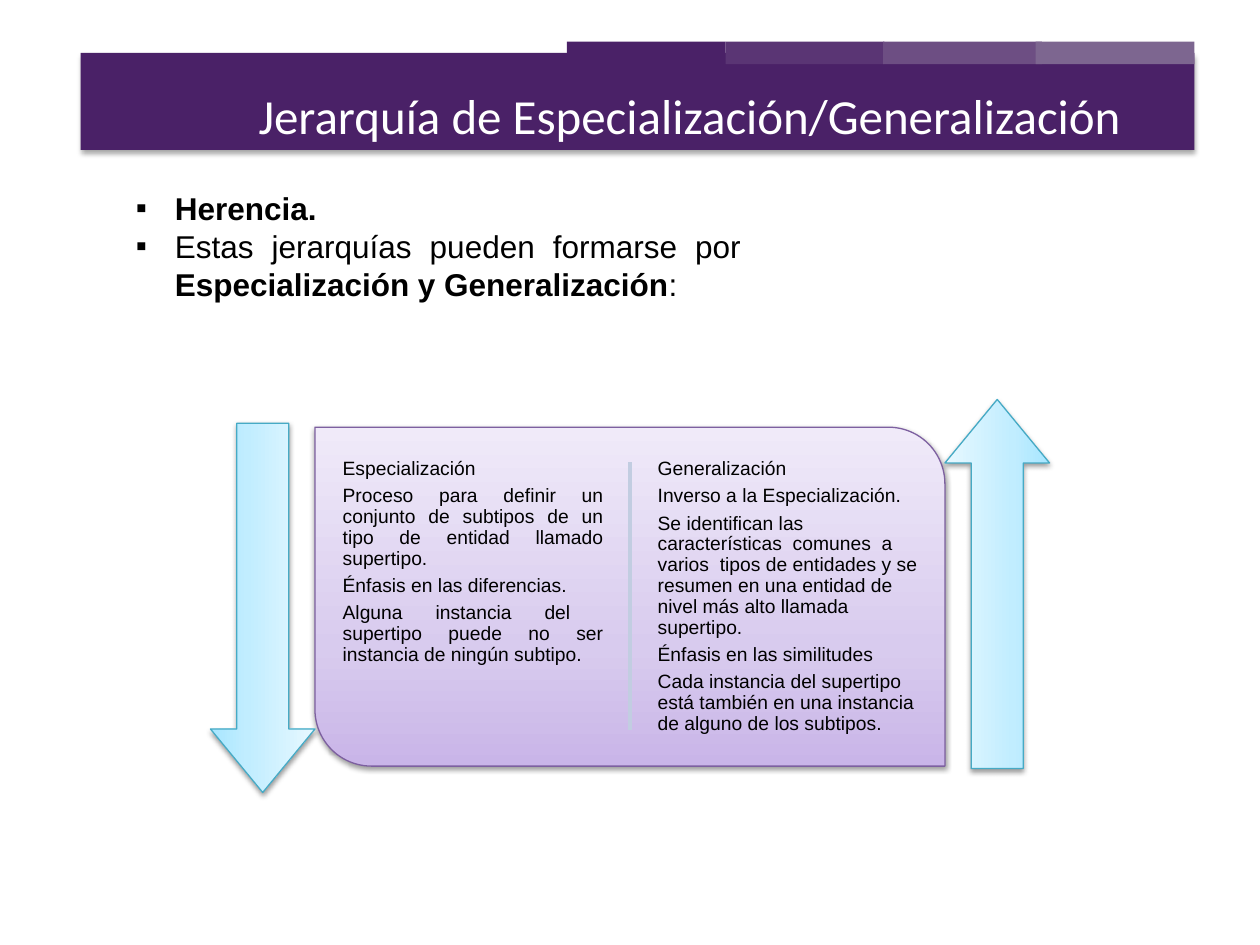
import dataclasses
import copy
import typing

import lxml.etree
import pptx
import pptx.dml.color
import pptx.enum.shapes
import pptx.enum.text
import pptx.oxml.ns
import pptx.util

Inches = pptx.util.Inches
Pt = pptx.util.Pt
Shape = pptx.enum.shapes.MSO_SHAPE
Align = pptx.enum.text.PP_ALIGN
qn = pptx.oxml.ns.qn

LILAC = ("C9B5E8", "D8CBEE", "F0EAF9")
SKY = ("A7E6FF", "C1EDFF", "E7F8FF")
STOPS = (0, 0.35, 1)


@dataclasses.dataclass
class Box:
    left: float
    top: float
    width: float
    height: float

    def place(self) -> list:
        return [Inches(n) for n in dataclasses.astuple(self)]


@dataclasses.dataclass
class Panel:
    box: Box
    kind: typing.Any
    fills: tuple
    edge: str
    adjust: tuple
    turn: int = 0


@dataclasses.dataclass
class Para:
    runs: list
    align: typing.Any = Align.LEFT


@dataclasses.dataclass
class Block:
    box: Box
    paras: list
    size: float
    font: str = "Arial"
    color: str = "000000"
    inset: tuple = (0.1, 0.05)
    bullet: str = ""
    form: dict = dataclasses.field(default_factory=dict)


def paint(text: str) -> pptx.dml.color.RGBColor:
    return pptx.dml.color.RGBColor.from_string(text)


def apply(target: typing.Any, values: dict) -> None:
    for name, value in values.items():
        setattr(target, name, value)


def node(parent: typing.Any, tag: str, **attrs: typing.Any) -> typing.Any:
    """Add a child element with the given attributes."""
    return lxml.etree.SubElement(
        parent, qn(tag), {key: str(val) for key, val in attrs.items()})


def shade(shape: typing.Any, alpha: int, dist: float) -> None:
    """Give the shape a soft shadow straight below it."""
    effects = shape._element.spPr.find(qn("a:effectLst"))
    outer = node(effects, "a:outerShdw", blurRad=Pt(3.1), dist=Pt(dist),
                 dir=90 * 60000, rotWithShape=0)
    tint = node(outer, "a:srgbClr", val="000000")
    node(tint, "a:alpha", val=alpha * 1000)


def blend(shape: typing.Any, colors: tuple) -> None:
    """Fill with a three-stop gradient that runs upward."""
    shape.fill.gradient()
    shape.fill.gradient_angle = 90
    stops = shape._element.spPr.find(".//" + qn("a:gsLst"))
    stops.append(copy.deepcopy(stops[0]))
    for stop, color, spot in zip(shape.fill.gradient_stops, colors, STOPS):
        stop.color.rgb = paint(color)
        stop.position = spot


def draw_bar(slide: typing.Any, box: Box, color: str) -> typing.Any:
    bar = slide.shapes.add_shape(Shape.RECTANGLE, *box.place())
    bar.shadow.inherit = False
    bar.fill.solid()
    bar.fill.fore_color.rgb = paint(color)
    bar.line.fill.background()
    return bar


def draw_panel(slide: typing.Any, panel: Panel) -> None:
    shape = slide.shapes.add_shape(panel.kind, *panel.box.place())
    shape.rotation = panel.turn
    for i, value in enumerate(panel.adjust):
        shape.adjustments[i] = value
    blend(shape, panel.fills)
    shape.line.color.rgb = paint(panel.edge)
    shape.line.width = Pt(0.75)
    shape.shadow.inherit = False
    shade(shape, 38, 1.6)


def draw_rule(slide: typing.Any, x: float, top: float, end: float) -> None:
    rule = slide.shapes.add_connector(
        pptx.enum.shapes.MSO_CONNECTOR.STRAIGHT,
        Inches(x), Inches(top), Inches(x), Inches(end))
    rule.line.color.rgb = paint("C2CDE1")
    rule.line.width = Pt(2)
    node(rule._element.spPr, "a:effectLst")


def add_bullet(para: typing.Any, mark: str, color: str) -> None:
    props = para._p.get_or_add_pPr()
    props.set("marL", str(Inches(0.31)))
    props.set("indent", str(-Inches(0.31)))
    node(node(props, "a:buClr"), "a:srgbClr", val=color)
    node(props, "a:buFont", typeface="Arial")
    node(props, "a:buChar", char=mark)


def draw_text(slide: typing.Any, block: Block) -> None:
    frame = slide.shapes.add_textbox(*block.box.place()).text_frame
    side, edge = (Inches(n) for n in block.inset)
    apply(frame, {"word_wrap": True, "margin_left": side,
                  "margin_right": side, "margin_top": edge,
                  "margin_bottom": edge})
    for i, item in enumerate(block.paras):
        para = frame.add_paragraph() if i else frame.paragraphs[0]
        if block.bullet:
            add_bullet(para, block.bullet, block.color)
        apply(para, {"alignment": item.align, **block.form})
        for text, bold in item.runs:
            run = para.add_run()
            run.text = text
            apply(run.font, {"name": block.font, "size": Pt(block.size),
                             "bold": bold})
            run.font.color.rgb = paint(block.color)


def plain(text: str, align: typing.Any = Align.LEFT) -> Para:
    return Para([(text, False)], align)


TABS = ((4.5, "4A2167"), (5.76, "5A3574"), (7.01, "6D4E83"), (8.22, "7D6690"))

TITLE = Block(
    Box(1.44, 0.63, 7.55, 0.57),
    [plain("Jerarquía de Especialización/Generalización", Align.RIGHT)],
    28, "Calibri", "FFFFFF")

INTRO = Block(Box(0.98, 1.45, 5, 1.31), [
    Para([("Herencia.", True)], Align.JUSTIFY),
    Para([("Estas jerarquías pueden formarse por ", False),
          ("Especialización y Generalización", True),
          (":", False)], Align.JUSTIFY),
], 18, bullet="▪")

DOWN = [
    plain("Especialización"),
    plain("Proceso para definir un conjunto de subtipos de un tipo de "
          "entidad llamado supertipo.", Align.JUSTIFY),
    plain("Énfasis en las diferencias.", Align.JUSTIFY),
    plain("Alguna instancia del  supertipo puede no ser instancia de "
          "ningún subtipo.", Align.JUSTIFY),
]
UP = [plain(text) for text in (
    "Generalización",
    "Inverso a la Especialización.",
    "Se identifican las características  comunes  a  varios  tipos de "
    "entidades y se resumen en una entidad de nivel más alto llamada "
    "supertipo.",
    "Énfasis en las similitudes",
    "Cada instancia del supertipo está también en una instancia de alguno "
    "de los subtipos.",
)]

CARD = Panel(Box(2.5, 3.39, 5, 2.69), Shape.ROUND_2_DIAG_RECTANGLE,
             LILAC, "7D60A0", (0, 0.167))
ARROWS = [Panel(Box(left, top, 2.93, 0.83), Shape.RIGHT_ARROW, SKY,
                "46AAC5", (0.498, 0.607), turn)
          for left, top, turn in ((0.62, 4.41, 90), (6.45, 4.22, 270))]


def main() -> None:
    deck = pptx.Presentation()
    apply(deck, {"slide_width": Inches(10), "slide_height": Inches(7.5)})
    slide = deck.slides.add_slide(deck.slide_layouts[6])
    shade(draw_bar(slide, Box(0.64, 0.42, 8.84, 0.77), "4A2167"), 35, 1.8)
    for left, color in TABS:
        draw_bar(slide, Box(left, 0.33, 1.26, 0.18), color)
    draw_text(slide, TITLE)
    draw_text(slide, INTRO)
    draw_panel(slide, CARD)
    draw_rule(slide, 5, 3.67, 5.79)
    for left, paras in ((2.67, DOWN), (5.17, UP)):
        draw_text(slide, Block(
            Box(left, 3.59, 2.17, 2.28), paras, 11, inset=(0.05, 0.05),
            form={"line_spacing": 0.9, "space_after": Pt(3.8)}))
    for arrow in ARROWS:
        draw_panel(slide, arrow)
    deck.save("out.pptx")


if __name__ == "__main__":
    main()
